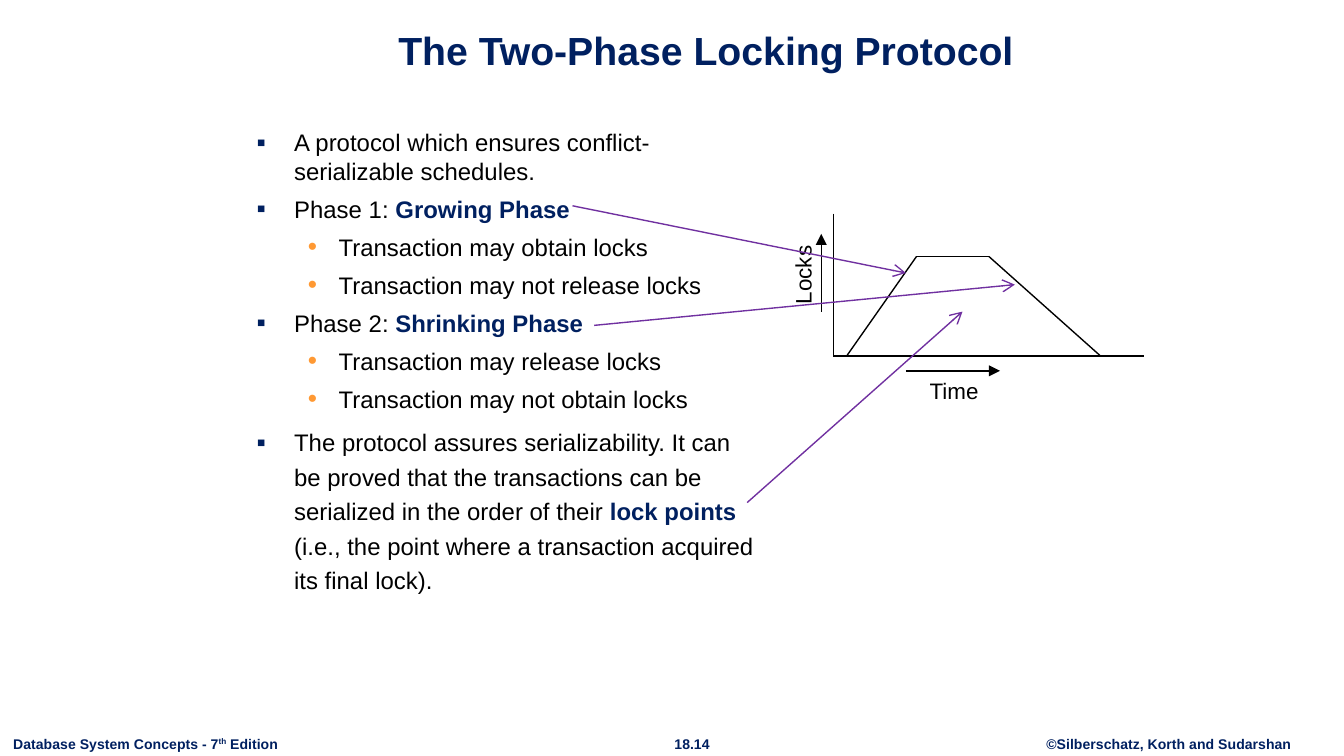
"""Build a slide on the two-phase locking protocol."""
from itertools import pairwise

from lxml.etree import SubElement
from pptx import Presentation
from pptx.dml.color import RGBColor
from pptx.enum.shapes import MSO_CONNECTOR
from pptx.enum.text import MSO_ANCHOR, PP_ALIGN
from pptx.oxml.ns import qn
from pptx.util import Cm, Pt

NAVY = RGBColor(0x00, 0x20, 0x60)
ORANGE = RGBColor(0xFF, 0x99, 0x33)
PURPLE = RGBColor(0x70, 0x30, 0xA0)
BLACK = RGBColor(0x00, 0x00, 0x00)

LEVELS = [("▪", NAVY, 0.71, 0.71), ("•", ORANGE, 1.55, 0.58)]
POINTS = [
    (0, ["A protocol which ensures conflict-serializable schedules."]),
    (0, ["Phase 1: ", "Growing Phase"]),
    (1, ["Transaction may obtain locks"]),
    (1, ["Transaction may not release locks"]),
    (0, ["Phase 2: ", "Shrinking Phase"]),
    (1, ["Transaction may release locks"]),
    (1, ["Transaction may not obtain locks"]),
    (0, ["The protocol assures serializability. It can be proved that the "
         "transactions can be serialized in the order of their ",
         "lock points",
         " (i.e., the point where a transaction acquired its final lock)."]),
]
CURVE = [(16, 6.73), (17.32, 4.85), (18.69, 4.85), (20.8, 6.73)]
AXES = [(15.75, 4.04), (15.75, 6.73), (21.62, 6.73)]
TRENDS = [((17.12, 7.01), (18.9, 7.01)), ((15.52, 5.89), (15.52, 4.42))]
CALLS = [
    ((10.82, 3.89), (17.12, 5.16)),
    ((11.23, 6.15), (19.18, 5.38)),
    ((14.12, 9.5), (18.19, 5.89)),
]


def style(para, size, color, bold=False):
    font = para.font
    font.name, font.size, font.bold = "Arial", Pt(size), bold
    font.color.rgb = color


def add_box(slide, area, wrap=True):
    box = slide.shapes.add_textbox(*map(Cm, area))
    box.text_frame.word_wrap = wrap
    return box


def add_label(slide, area, text, size, color=BLACK, bold=False,
              align=PP_ALIGN.LEFT, wrap=True):
    box = add_box(slide, area, wrap)
    para = box.text_frame.paragraphs[0]
    para.alignment = align
    para.add_run().text = text
    style(para, size, color, bold)
    return box


def add_bullet(para, level):
    mark, color, left, hang = LEVELS[level]
    props = para._p.get_or_add_pPr()
    props.set("marL", str(Cm(left)))
    props.set("indent", str(-Cm(hang)))
    tint = SubElement(props, qn("a:buClr"))
    SubElement(tint, qn("a:srgbClr")).set("val", str(color))
    SubElement(props, qn("a:buSzPct")).set("val", "110000")
    SubElement(props, qn("a:buFont")).set("typeface", "Arial")
    SubElement(props, qn("a:buChar")).set("char", mark)


def add_points(slide):
    frame = add_box(slide, (4.6, 2.29, 9.98, 11.18)).text_frame
    for row, (level, parts) in enumerate(POINTS):
        para = frame.add_paragraph() if row else frame.paragraphs[0]
        para.level = level
        add_bullet(para, level)
        style(para, 12.8, BLACK)
        if row:
            para.space_before = Pt(5)
        for spot, text in enumerate(parts):
            run = para.add_run()
            run.text = text
            if spot == 1:
                run.font.bold = True
                run.font.color.rgb = NAVY
    para.line_spacing = 1.2


def add_line(slide, start, end, color=BLACK, head=None):
    line = slide.shapes.add_connector(
        MSO_CONNECTOR.STRAIGHT, *map(Cm, (*start, *end)))
    line.line.color.rgb = color
    line.line.width = Pt(0.75)
    if head:
        SubElement(line.line._get_or_add_ln(), qn("a:tailEnd")).set("type", head)
    SubElement(line._element.spPr, qn("a:effectLst"))


def add_graph(slide):
    for path in (CURVE, AXES):
        for start, end in pairwise(path):
            add_line(slide, start, end)
    add_label(slide, (17.32, 7.01, 1.68, 0.76), "Time", 12)
    add_label(slide, (14.33, 4.78, 1.68, 0.76), "Locks", 12).rotation = 270
    for start, end in TRENDS:
        add_line(slide, start, end, head="triangle")
    for start, end in CALLS:
        add_line(slide, start, end, PURPLE, "arrow")


def add_footer(slide):
    notes = [
        (0, 5.54, "Database System Concepts - 7", PP_ALIGN.LEFT),
        (12.47, 1.22, "18.14", PP_ALIGN.CENTER),
        (19.51, 5.16, "©Silberschatz, Korth and Sudarshan", PP_ALIGN.CENTER),
    ]
    boxes = [add_label(slide, (left, 13.77, width, 0.58), text, 7.5, NAVY,
                       True, align, False)
             for left, width, text, align in notes]
    para = boxes[0].text_frame.paragraphs[0]
    power = para.add_run()
    power.text = "th"
    power._r.get_or_add_rPr().set("baseline", "30000")
    para.add_run().text = " Edition"


def main():
    deck = Presentation()
    deck.slide_width, deck.slide_height = Cm(25.4), Cm(14.29)
    slide = deck.slides.add_slide(deck.slide_layouts[6])
    add_footer(slide)
    title = add_label(slide, (2.13, 0.25, 22.43, 1.27),
                      "The Two-Phase Locking Protocol", 21, NAVY, True,
                      PP_ALIGN.CENTER)
    title.text_frame.vertical_anchor = MSO_ANCHOR.BOTTOM
    add_points(slide)
    add_graph(slide)
    deck.save("out.pptx")


if __name__ == "__main__":
    main()
